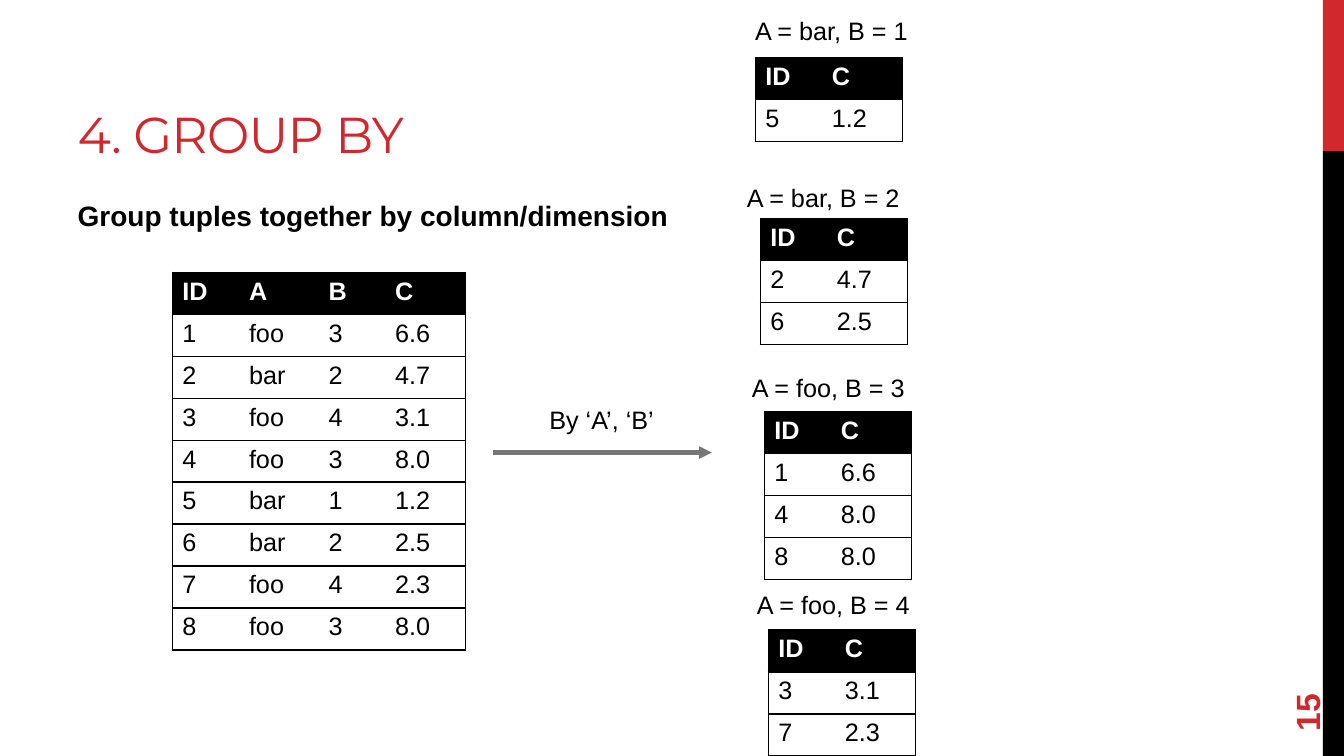
import dataclasses

import pptx
import pptx.dml.color
import pptx.enum.shapes
import pptx.enum.text
import pptx.oxml
import pptx.oxml.ns
import pptx.util

# Content
TITLE = "4. GROUP BY"
LEAD = "Group tuples together by column/dimension"
STEP = "By ‘A’, ‘B’"
PAGE = "15"
HEAD = ("ID", "A", "B", "C")
ROWS = [
    ("1", "foo", "3", "6.6"),
    ("2", "bar", "2", "4.7"),
    ("3", "foo", "4", "3.1"),
    ("4", "foo", "3", "8.0"),
    ("5", "bar", "1", "1.2"),
    ("6", "bar", "2", "2.5"),
    ("7", "foo", "4", "2.3"),
    ("8", "foo", "3", "8.0"),
]
# Group key, label corner, table corner
GROUPS = [
    (("bar", "1"), (7.39, 0.1), (7.49, 0.57)),
    (("bar", "2"), (7.31, 1.76), (7.54, 2.17)),
    (("foo", "3"), (7.36, 3.64), (7.58, 4.08)),
    (("foo", "4"), (7.41, 5.8), (7.62, 6.25)),
]

# Grid, in inches
WIDE, HIGH = 13.33, 7.5
LEFT = 0.67
BAR = 0.21
ROW = HIGH / 18
COLS = {"ID": 0.66, "A": 0.79, "B": 0.66, "C": 0.8}


@dataclasses.dataclass(frozen=True)
class Theme:
    red: str = "D1282E"
    black: str = "000000"
    white: str = "FFFFFF"
    gray: str = "777777"
    font: str = "Arial"
    show: str = "Montserrat"
    title: int = 36
    page: int = 24
    lead: int = 20
    text: int = 18


theme = Theme()
inch = pptx.util.Inches
point = pptx.util.Pt
anchor = pptx.enum.text.MSO_ANCHOR
align = pptx.enum.text.PP_ALIGN


def color(code):
    return pptx.dml.color.RGBColor.from_string(code)


def node(tag, inner=""):
    space = pptx.oxml.ns.nsdecls("a")
    name = tag.split()[0]
    return pptx.oxml.parse_xml(f"<a:{tag} {space}>{inner}</a:{name}>")


def write(frame, text, size, ink=theme.black, bold=False, font=theme.font):
    para = frame.paragraphs[0]
    para.alignment = align.LEFT
    para.space_before = point(0)
    run = para.add_run()
    run.text = text
    run.font.name = font
    run.font.size = point(size)
    run.font.bold = bold
    run.font.color.rgb = color(ink)
    return run


def place(shape, *box):
    shape.left, shape.top, shape.width, shape.height = map(inch, box)


def label(slide, text, box, wrap=False):
    frame = slide.shapes.add_textbox(*map(inch, box)).text_frame
    frame.word_wrap = wrap
    write(frame, text, theme.text)


def edge(cell, sides):
    solid = f'<a:solidFill><a:srgbClr val="{theme.black}"/></a:solidFill>'
    props = cell._tc.get_or_add_tcPr()
    for spot, side in enumerate("LRTB"):
        fill = solid if side in sides else "<a:noFill/>"
        props.insert(spot, node(f'ln{side} w="12700"', fill))


def grid(slide, corner, heads, rows):
    lines = [heads, *rows]
    wides = [COLS[name] for name in heads]
    size = (sum(wides), ROW * len(lines))
    table = slide.shapes.add_table(
        len(lines), len(heads), *map(inch, (*corner, *size))).table
    for col, wide in zip(table.columns, wides):
        col.width = inch(wide)
    for r, line in enumerate(lines):
        table.rows[r].height = inch(ROW)
        for c, text in enumerate(line):
            cell = table.cell(r, c)
            top = r == 0
            cell.fill.solid()
            cell.fill.fore_color.rgb = color(theme.black if top else theme.white)
            write(cell.text_frame, text, theme.text,
                  theme.white if top else theme.black, top)
            last = c == len(line) - 1
            edge(cell, "TB" + "L" * (c == 0) + "R" * last)


def build():
    deck = pptx.Presentation()
    deck.slide_width, deck.slide_height = inch(WIDE), inch(HIGH)
    slide = deck.slides.add_slide(deck.slide_layouts[1])
    shapes = slide.shapes

    # Side bars: one fifth red, the rest black
    cut = HIGH / 5
    for top, tall, ink in ((0, cut, theme.red), (cut, HIGH - cut, theme.black)):
        bar = shapes.add_shape(
            pptx.enum.shapes.MSO_SHAPE.RECTANGLE,
            *map(inch, (WIDE - BAR, top, BAR, tall)))
        bar.shadow.inherit = False
        bar.fill.solid()
        bar.fill.fore_color.rgb = color(ink)
        bar.line.fill.background()

    # Title and lead line
    title = shapes.title
    place(title, LEFT, 0.17, 8.44, 1.5)
    title.text_frame.vertical_anchor = anchor.BOTTOM
    run = write(title.text_frame, TITLE, theme.title, theme.red, font=theme.show)
    run._r.get_or_add_rPr().set("spc", "-60")

    body = slide.placeholders[1]
    place(body, LEFT, 1.92, 11.11, 4.78)
    props = body.text_frame.paragraphs[0]._p.get_or_add_pPr()
    props.set("marL", "0")
    props.set("indent", "0")
    props.append(node("buNone"))
    write(body.text_frame, LEAD, theme.lead, bold=True)

    # Page number
    page = shapes.add_textbox(*map(inch, (12.24, 6.37, 1.44, 0.53)))
    page.rotation = 270
    page.text_frame.word_wrap = True
    page.text_frame.vertical_anchor = anchor.MIDDLE
    write(page.text_frame, PAGE, theme.page, theme.red, True)

    # Full table and grouping arrow
    grid(slide, (1.71, 2.7), HEAD, ROWS)
    label(slide, STEP, (5.35, 3.96, 1.96, 0.4), True)
    arrow = shapes.add_connector(
        pptx.enum.shapes.MSO_CONNECTOR.STRAIGHT,
        *map(inch, (4.89, 4.49, 7.06, 4.49)))
    arrow.line.color.rgb = color(theme.gray)
    arrow.line.width = point(3)
    arrow.line._get_or_add_ln().append(node('tailEnd type="triangle"'))
    arrow._element.spPr.append(node("effectLst"))

    # One table for each pair of A and B
    for key, spot, corner in GROUPS:
        label(slide, "A = {}, B = {}".format(*key), (*spot, 1.73, 0.4))
        rows = [(name, value) for name, *pair, value in ROWS if tuple(pair) == key]
        grid(slide, corner, ("ID", "C"), rows)

    deck.save("out.pptx")


if __name__ == "__main__":
    build()
